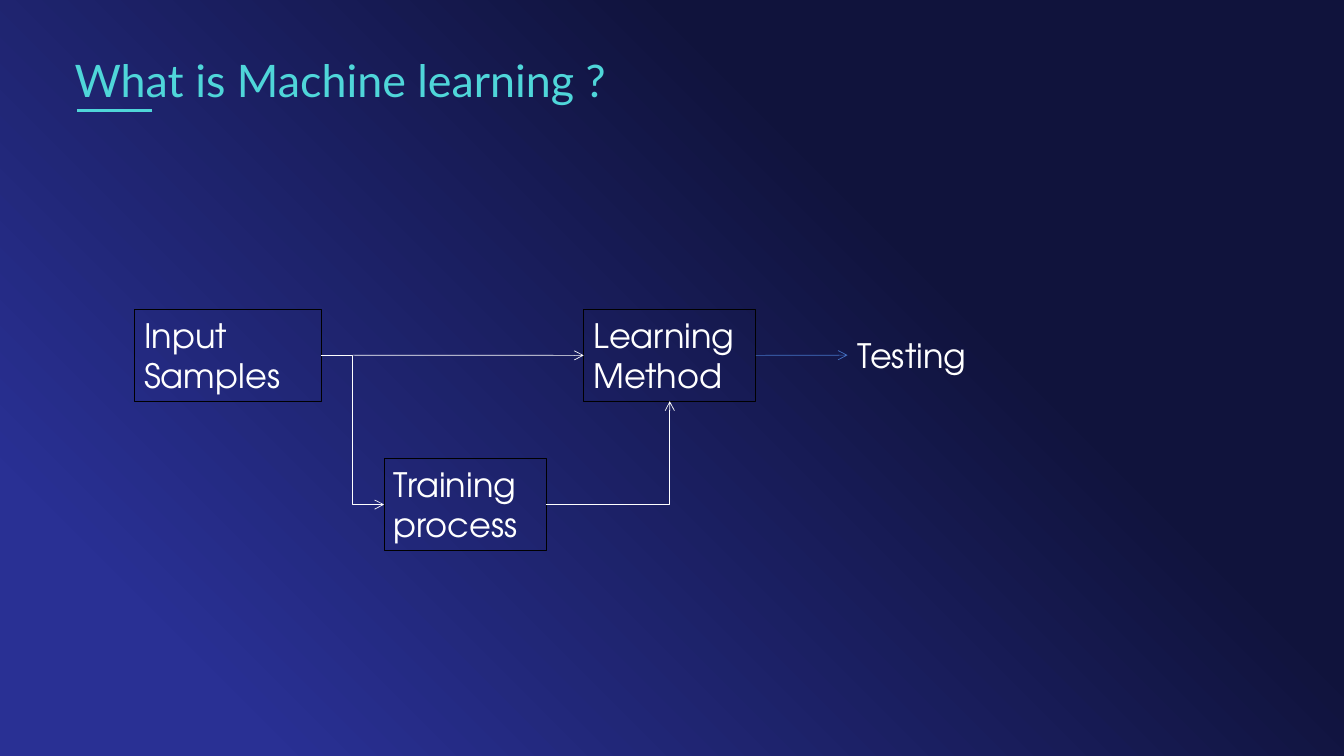
"""Build the slide "What is Machine learning ?" with its flow diagram."""
from lxml import etree
from pptx import Presentation
from pptx.dml.color import RGBColor
from pptx.enum.shapes import MSO_CONNECTOR, MSO_SHAPE
from pptx.enum.text import MSO_ANCHOR, PP_ALIGN
from pptx.oxml import parse_xml
from pptx.oxml.ns import nsdecls, qn
from pptx.util import Cm, Pt

STRAIGHT, ELBOW = MSO_CONNECTOR.STRAIGHT, MSO_CONNECTOR.ELBOW
RECTANGLE = MSO_SHAPE.RECTANGLE
LEFT, TOP, MIDDLE = PP_ALIGN.LEFT, MSO_ANCHOR.TOP, MSO_ANCHOR.MIDDLE
LEFT_SITE, BOTTOM_SITE, RIGHT_SITE = 1, 2, 3
TEAL, WHITE, BLACK, BLUE = "4FD6D9", "FFFFFF", "000000", "4472C4"
BOX_HEIGHT = 2.31


def write(shape, words, font, size, hex_color, anchor):
    frame = shape.text_frame
    frame.word_wrap = True
    frame.vertical_anchor = anchor
    frame.text = words
    paragraph = frame.paragraphs[0]
    paragraph.alignment = LEFT
    paragraph.font.name = font
    paragraph.font.size = Pt(size)
    paragraph.font.color.rgb = RGBColor.from_string(hex_color)


def draw_line(kind, start, end, hex_color, width, arrow=True):
    line = slide.shapes.add_connector(kind, *map(Cm, start + end))
    line.line.color.rgb = RGBColor.from_string(hex_color)
    line.line.width = Pt(width)
    if arrow:
        etree.SubElement(line.line._get_or_add_ln(), qn("a:tailEnd"), type="arrow")
    etree.SubElement(line._element.spPr, qn("a:effectLst"))
    return line


prs = Presentation()
prs.slide_width, prs.slide_height = Cm(33.87), Cm(19.05)
slide = prs.slides.add_slide(prs.slide_layouts[6])

slide._element.cSld.insert(0, parse_xml(f"""
<p:bg {nsdecls("p", "a")}><p:bgPr><a:gradFill rotWithShape="1"><a:gsLst>
<a:gs pos="13000"><a:srgbClr val="293094"><a:alpha val="94000"/></a:srgbClr></a:gs>
<a:gs pos="68000"><a:srgbClr val="10133C"/></a:gs></a:gsLst>
<a:path path="circle"><a:fillToRect t="100000" r="100000"/></a:path>
</a:gradFill><a:effectLst/></p:bgPr></p:bg>"""))

title = slide.shapes.add_textbox(Cm(1.63), Cm(1.14), Cm(29.64), Cm(1.9))
write(title, "What is Machine learning ?", "Lato", 32, TEAL, MIDDLE)
title.text_frame.paragraphs[0].line_spacing = 0.9
draw_line(STRAIGHT, (3.84, 2.79), (1.93, 2.79), TEAL, 1.75, arrow=False)

steps = []
for words, left, top, width in [
    ("Input Samples", 3.38, 7.8, 4.72),
    ("Learning Method", 14.71, 7.8, 4.34),
    ("Training process", 9.68, 11.56, 4.09),
]:
    step = slide.shapes.add_shape(RECTANGLE, Cm(left), Cm(top), Cm(width), Cm(BOX_HEIGHT))
    step.shadow.inherit = False
    step.fill.background()
    step.line.color.rgb = RGBColor.from_string(BLACK)
    step.line.width = Pt(0.75)
    write(step, words, "TeX Gyre Adventor", 24, WHITE, TOP)
    steps.append(step)
samples, method, training = steps

testing = slide.shapes.add_textbox(Cm(21.36), Cm(8.31), Cm(3.58), Cm(1.3))
write(testing, "Testing", "TeX Gyre Adventor", 24, WHITE, TOP)

samples_to_training = draw_line(ELBOW, (8.1, 8.95), (9.68, 12.71), WHITE, 0.5)
samples_to_training.begin_connect(samples, RIGHT_SITE)
samples_to_training.end_connect(training, LEFT_SITE)

samples_to_method = draw_line(STRAIGHT, (8.89, 8.95), (14.71, 8.95), WHITE, 0.5)
samples_to_method.end_connect(method, LEFT_SITE)

method_to_testing = draw_line(STRAIGHT, (19.05, 8.95), (21.36, 8.95), BLUE, 0.5)
method_to_testing.begin_connect(method, RIGHT_SITE)

training_to_method = draw_line(ELBOW, (13.77, 12.71), (16.88, 10.11), WHITE, 0.5)
training_to_method.begin_connect(training, RIGHT_SITE)
training_to_method.end_connect(method, BOTTOM_SITE)
training_to_method._element.spPr.find(qn("a:prstGeom")).set("prst", "bentConnector2")

prs.save("out.pptx")
